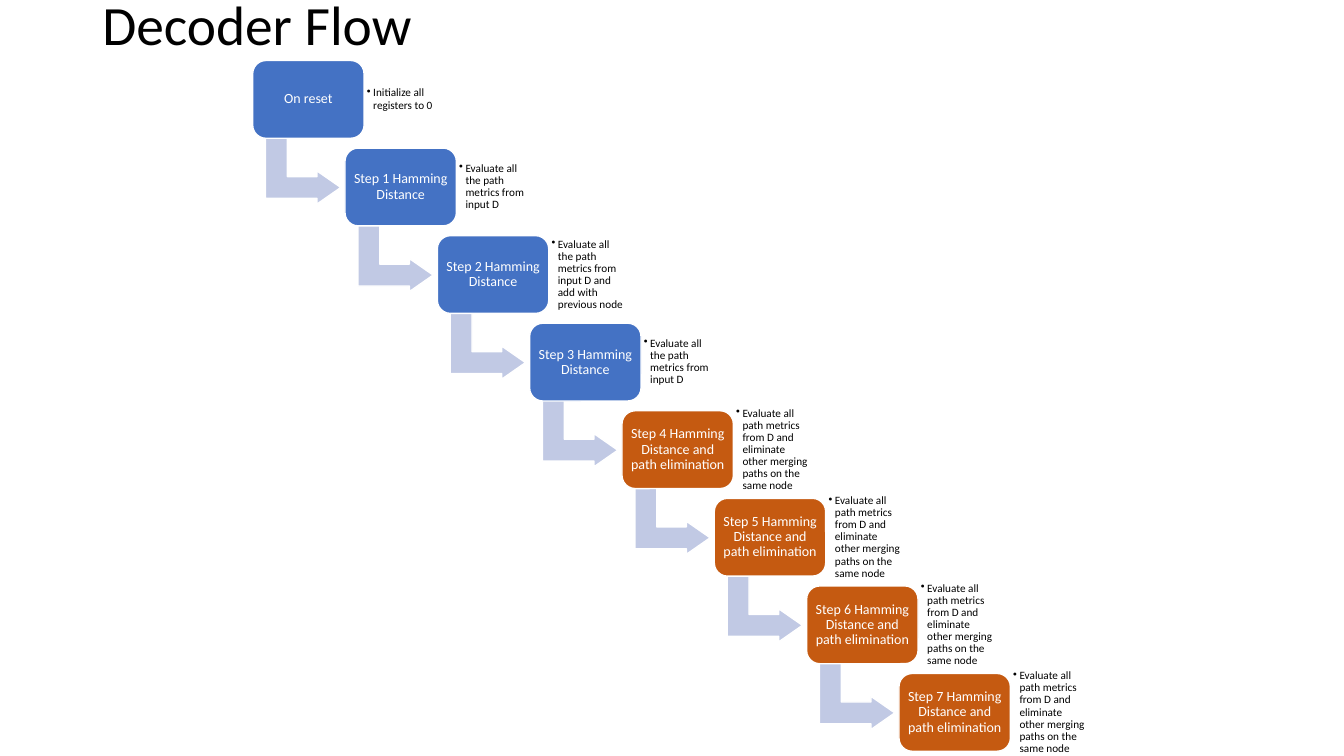
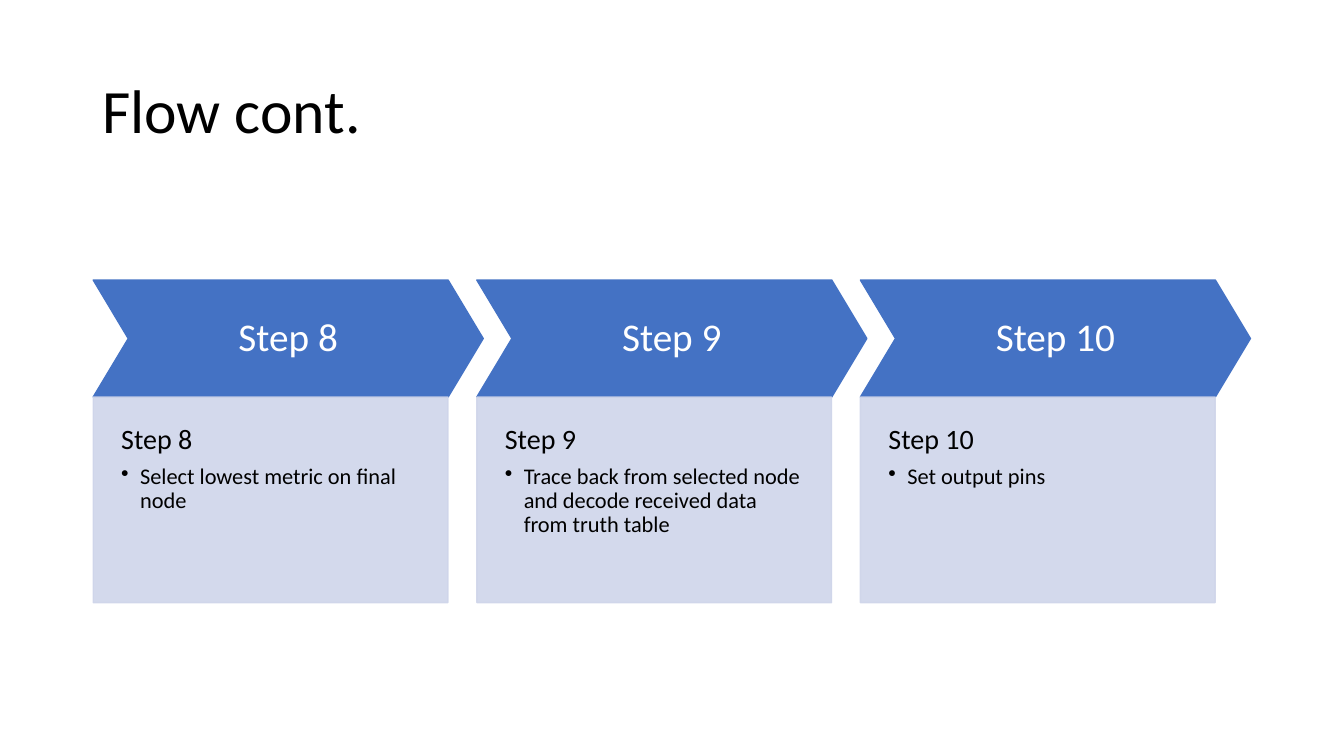
from lxml.etree import SubElement
from pptx import Presentation
from pptx.dml.color import RGBColor
from pptx.enum.shapes import MSO_SHAPE
from pptx.enum.text import MSO_ANCHOR, PP_ALIGN
from pptx.oxml.ns import qn
from pptx.util import Pt

COLORS = {
    "ink": "000000",
    "white": "FFFFFF",
    "blue": "4472C4",
    "rust": "C55A11",
    "arrow": "C1C9E4",
    "panel": "CFD5EA",
}
FONT = "Calibri"

METRICS = "Evaluate all the path metrics from input D"
PRUNE = ("Evaluate all path metrics from D and eliminate "
         "other merging paths on the same node")
STEPS = [
    ("On reset", "Initialize all registers to 0", "blue"),
    ("Step 1 Hamming Distance", METRICS, "blue"),
    ("Step 2 Hamming Distance", METRICS + " and add with previous node", "blue"),
    ("Step 3 Hamming Distance", METRICS, "blue"),
] + [(f"Step {n} Hamming Distance and path elimination", PRUNE, "rust")
     for n in range(4, 8)]
STAGES = [
    ("Step 8", "Select lowest metric on final node"),
    ("Step 9", "Trace back from selected node and decode received data "
               "from truth table"),
    ("Step 10", "Set output pins"),
]


def rgb(name):
    return RGBColor.from_string(COLORS[name])


def set_frame(shape, insets, anchor=MSO_ANCHOR.MIDDLE):
    """Wrap the text; insets run left, top, right, bottom."""
    frame = shape.text_frame
    frame.word_wrap = True
    frame.vertical_anchor = anchor
    left, top, right, bottom = insets
    frame.margin_left, frame.margin_top = Pt(left), Pt(top)
    frame.margin_right, frame.margin_bottom = Pt(right), Pt(bottom)
    return frame


def write(para, text, size, color="ink", align=PP_ALIGN.LEFT, indent=0):
    """Fill a paragraph; an indent in points makes it a bullet."""
    para.text = text
    para.alignment = align
    para.line_spacing = 0.9
    if indent:
        para.level = 1
        props = para._p.get_or_add_pPr()
        props.set("marL", str(Pt(indent)))
        props.set("indent", str(-Pt(indent)))
        SubElement(props, qn("a:buChar")).set("char", "•")
    font = para.font
    font.name, font.size = FONT, Pt(size)
    font.color.rgb = rgb(color)


def add_text(slide, box, insets):
    shape = slide.shapes.add_textbox(*map(Pt, box))
    return set_frame(shape, insets)


def add_block(slide, kind, box, fill, line, adjust=()):
    shape = slide.shapes.add_shape(kind, *map(Pt, box))
    shape.shadow.inherit = False
    shape.fill.solid()
    shape.fill.fore_color.rgb = rgb(fill)
    shape.line.color.rgb = rgb(line)
    shape.line.width = Pt(1)
    for i, value in enumerate(adjust):
        shape.adjustments[i] = value
    return shape


def fade(shape, percent):
    """Set the opacity of fill and line."""
    for color in shape._element.spPr.iter(qn("a:srgbClr")):
        SubElement(color, qn("a:alpha")).set("val", str(percent * 1000))


def add_title(slide, text, top, height, size):
    frame = add_text(slide, (66, top, 828, height), (7.2, 3.6, 7.2, 3.6))
    write(frame.paragraphs[0], text, size)


def add_step(slide, left, top, step, last):
    """One stair: arrow to the next stair, label block and note."""
    label, note, fill = step
    if not last:
        arrow = add_block(slide, MSO_SHAPE.BENT_UP_ARROW,
                          (left + 12.4, top + 52, 47.3, 53.8),
                          "arrow", "white", (0.33, 0.25, 0.36))
        arrow.rotation = 90
    block = add_block(slide, MSO_SHAPE.ROUNDED_RECTANGLE,
                      (left, top, 79.6, 55.6), fill, "white", (0.17,))
    frame = set_frame(block, (2.8,) * 4)
    write(frame.paragraphs[0], label, 10, "white", PP_ALIGN.CENTER)
    frame = add_text(slide, (left + 79.4, top + 5.2, 57.6, 45.2), (2.2,) * 4)
    write(frame.paragraphs[0], note, 8, indent=4.5)


def add_stage(slide, left, top, name, task):
    """A chevron with a panel of detail below it."""
    head = add_block(slide, MSO_SHAPE.CHEVRON, (left, top, 278.6, 83.6),
                     "blue", "blue", (0.3,))
    frame = set_frame(head, (0,) * 4)
    write(frame.paragraphs[0], name, 28, "white", PP_ALIGN.CENTER)
    panel = add_block(slide, MSO_SHAPE.RECTANGLE,
                      (left, top + 83.6, 253.4, 146.9), "panel", "panel")
    fade(panel, 90)
    frame = set_frame(panel, (20, 20, 20, 40), MSO_ANCHOR.TOP)
    write(frame.paragraphs[0], name, 20)
    frame.paragraphs[0].space_after = Pt(7)
    write(frame.add_paragraph(), task, 16, indent=13.5)


def build_stairs(slide):
    add_title(slide, "Decoder Flow", 0, 39.6, 39.6)
    for i, step in enumerate(STEPS):
        add_step(slide, 180.5 + 65.95 * i, 43.2 + 62.55 * i, step,
                 i == len(STEPS) - 1)


def build_stages(slide):
    add_title(slide, "Flow cont.", 28.8, 104.4, 44)
    for i, (name, task) in enumerate(STAGES):
        add_stage(slide, 66.6 + 274 * i, 200, name, task)


def main():
    deck = Presentation()
    deck.slide_width, deck.slide_height = Pt(960), Pt(540)
    for build in (build_stairs, build_stages):
        build(deck.slides.add_slide(deck.slide_layouts[6]))
    deck.save("out.pptx")


if __name__ == "__main__":
    main()
